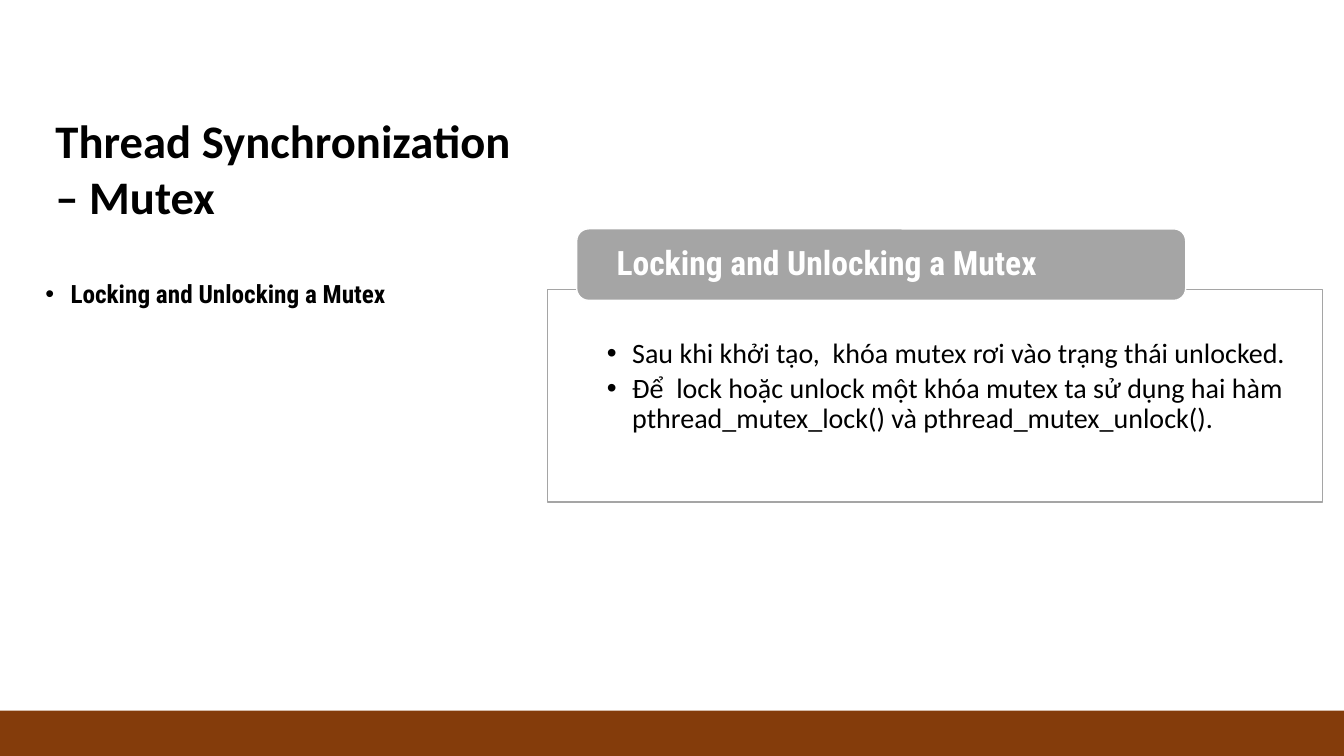
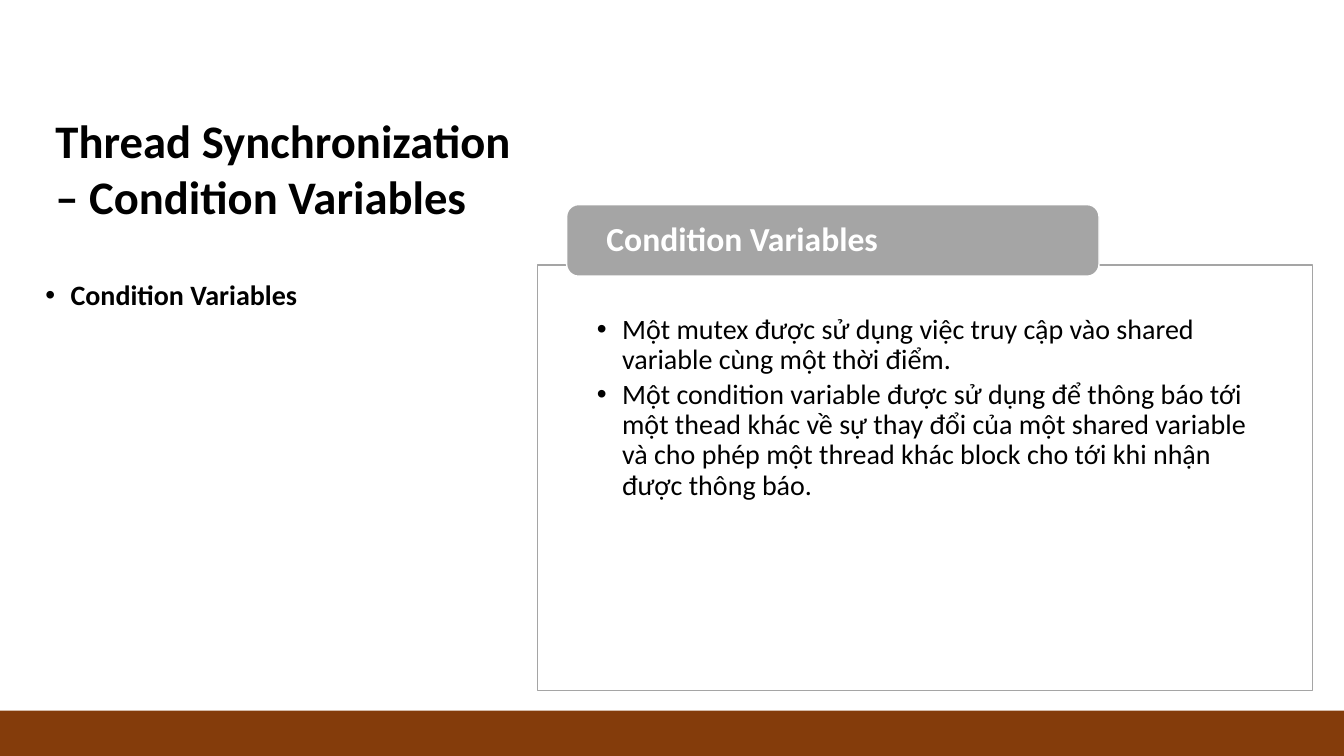
import dataclasses
import typing

import lxml.etree
import pptx
import pptx.dml.color
import pptx.enum.shapes
import pptx.enum.text
import pptx.oxml.ns
import pptx.util

Inches = pptx.util.Inches
Pt = pptx.util.Pt
RGBColor = pptx.dml.color.RGBColor
Anchor = pptx.enum.text.MSO_ANCHOR
ShapeKind = pptx.enum.shapes.MSO_SHAPE

BLACK = RGBColor(0x00, 0x00, 0x00)
WHITE = RGBColor(0xFF, 0xFF, 0xFF)
GRAY = RGBColor(0xA5, 0xA5, 0xA5)
BROWN = RGBColor(0x84, 0x3C, 0x0B)

SLIDE_WIDTH, SLIDE_HEIGHT = 13.33, 7.5
BAND_TOP = 7.05
TAB_OFFSET, TAB_RISE, TAB_HEIGHT = 0.29, 0.6, 0.71


class Box(typing.NamedTuple):
    left: float
    top: float
    width: float
    height: float


class Insets(typing.NamedTuple):
    left: float = 0.1
    top: float = 0.05
    right: float = 0.1
    bottom: float = 0.05


@dataclasses.dataclass(frozen=True)
class TextStyle:
    size: float
    color: RGBColor
    bold: bool = False
    font: str = "Calibri"
    line_spacing: float = 0.9
    space_after: float = 6
    margin: float = 0
    indent: float = 0
    bullet: bool = False


@dataclasses.dataclass(frozen=True)
class Topic:
    title: str
    heading: str
    heading_font: str
    outline_size: float
    panel: Box
    panel_right_inset: float
    tab_width: float
    points: list[str]


TITLE_BOX = Box(0.45, 1.08, 4.86, 1.19)
OUTLINE_BOX = Box(0.22, 2.74, 5.09, 3.82)
BAND_BOX = Box(0, BAND_TOP, SLIDE_WIDTH, SLIDE_HEIGHT - BAND_TOP)

TITLE_STYLE = TextStyle(33.3, BLACK, bold=True, line_spacing=1.0, space_after=0)
OUTLINE_STYLE = TextStyle(20, BLACK, bold=True, margin=0.38, indent=-0.25, bullet=True)
POINT_STYLE = TextStyle(20, BLACK, space_after=3, margin=0.25, indent=-0.25, bullet=True)
TAB_STYLE = TextStyle(24, WHITE, bold=True, margin=0.12)

TOPICS = [
    Topic(
        title="Thread Synchronization – Mutex",
        heading="Locking and Unlocking a Mutex",
        heading_font="Roboto Condensed",
        outline_size=18,
        panel=Box(5.43, 2.87, 7.69, 2.11),
        panel_right_inset=0.19,
        tab_width=6.04,
        points=[
            "Sau khi khởi tạo,  khóa mutex rơi vào trạng thái unlocked.",
            "Để  lock hoặc unlock một khóa mutex ta sử dụng hai hàm "
            "pthread_mutex_lock() và pthread_mutex_unlock().",
        ],
    ),
    Topic(
        title="Thread Synchronization – Condition Variables",
        heading="Condition Variables",
        heading_font="Calibri",
        outline_size=20,
        panel=Box(5.33, 2.63, 7.69, 4.22),
        panel_right_inset=0.59,
        tab_width=5.28,
        points=[
            "Một mutex được sử dụng việc truy cập vào shared variable cùng một thời điểm.",
            "Một condition variable được sử dụng để thông báo tới một thead khác về sự "
            "thay đổi của một shared variable và cho phép một thread khác block cho tới "
            "khi nhận được thông báo.",
        ],
    ),
]


def set_attributes(target: typing.Any, values: dict[str, typing.Any]) -> None:
    for name, value in values.items():
        setattr(target, name, value)


def place(shape: typing.Any, box: Box) -> None:
    set_attributes(shape, {name: Inches(value) for name, value in box._asdict().items()})


def format_paragraph(paragraph: typing.Any, style: TextStyle) -> None:
    set_attributes(paragraph, {
        "alignment": pptx.enum.text.PP_ALIGN.LEFT,
        "line_spacing": style.line_spacing,
        "space_before": Pt(0),
        "space_after": Pt(style.space_after),
    })
    set_attributes(paragraph.font, {
        "name": style.font,
        "size": Pt(style.size),
        "bold": style.bold,
    })
    paragraph.font.color.rgb = style.color
    properties = paragraph._p.get_or_add_pPr()
    properties.set("marL", str(Inches(style.margin)))
    properties.set("indent", str(Inches(style.indent)))
    if style.bullet:
        bullet_font = lxml.etree.SubElement(properties, pptx.oxml.ns.qn("a:buFont"))
        bullet_font.set("typeface", "Arial")
        bullet = lxml.etree.SubElement(properties, pptx.oxml.ns.qn("a:buChar"))
        bullet.set("char", "•")
        properties.append(properties.find(pptx.oxml.ns.qn("a:defRPr")))


def write_text(
    shape: typing.Any,
    lines: list[str],
    style: TextStyle,
    anchor: Anchor = Anchor.TOP,
    insets: Insets = Insets(),
) -> None:
    frame = shape.text_frame
    set_attributes(frame, {
        "word_wrap": True,
        "auto_size": pptx.enum.text.MSO_AUTO_SIZE.NONE,
        "vertical_anchor": anchor,
    })
    set_attributes(frame, {
        f"margin_{side}": Inches(value) for side, value in insets._asdict().items()
    })
    frame.text = "\n".join(lines)
    for paragraph in frame.paragraphs:
        format_paragraph(paragraph, style)
        for run in paragraph.runs:
            set_attributes(run.font, {
                "name": style.font,
                "size": Pt(style.size),
                "bold": style.bold,
            })
            run.font.color.rgb = style.color


def add_block(
    slide: typing.Any,
    kind: ShapeKind,
    box: Box,
    fill: RGBColor,
    line: RGBColor | None = None,
) -> typing.Any:
    shape = slide.shapes.add_shape(kind, *map(Inches, box))
    shape.shadow.inherit = False
    shape.fill.solid()
    shape.fill.fore_color.rgb = fill
    if line is None:
        shape.line.fill.background()
    else:
        shape.line.color.rgb = line
        shape.line.width = Pt(1)
    return shape


def add_panel(slide: typing.Any, topic: Topic) -> None:
    panel = add_block(slide, ShapeKind.RECTANGLE, topic.panel, WHITE, GRAY)
    write_text(panel, topic.points, POINT_STYLE,
               insets=Insets(0.59, 0.5, topic.panel_right_inset, 0.17))
    tab_box = Box(topic.panel.left + TAB_OFFSET, topic.panel.top - TAB_RISE,
                  topic.tab_width, TAB_HEIGHT)
    tab = add_block(slide, ShapeKind.ROUNDED_RECTANGLE, tab_box, GRAY, WHITE)
    write_text(tab, [topic.heading],
               dataclasses.replace(TAB_STYLE, font=topic.heading_font),
               Anchor.MIDDLE, Insets(0.24, 0, 0.24, 0))


def add_topic_slide(presentation: typing.Any, topic: Topic) -> None:
    slide = presentation.slides.add_slide(presentation.slide_layouts[1])
    title, outline = slide.shapes.title, slide.placeholders[1]
    place(title, TITLE_BOX)
    write_text(title, [topic.title], TITLE_STYLE, Anchor.BOTTOM)
    place(outline, OUTLINE_BOX)
    write_text(outline, [topic.heading], dataclasses.replace(
        OUTLINE_STYLE, font=topic.heading_font, size=topic.outline_size))
    add_block(slide, ShapeKind.RECTANGLE, BAND_BOX, BROWN)
    add_panel(slide, topic)


def main() -> None:
    presentation = pptx.Presentation()
    set_attributes(presentation, {
        "slide_width": Inches(SLIDE_WIDTH),
        "slide_height": Inches(SLIDE_HEIGHT),
    })
    for topic in TOPICS:
        add_topic_slide(presentation, topic)
    presentation.save("out.pptx")


main()
